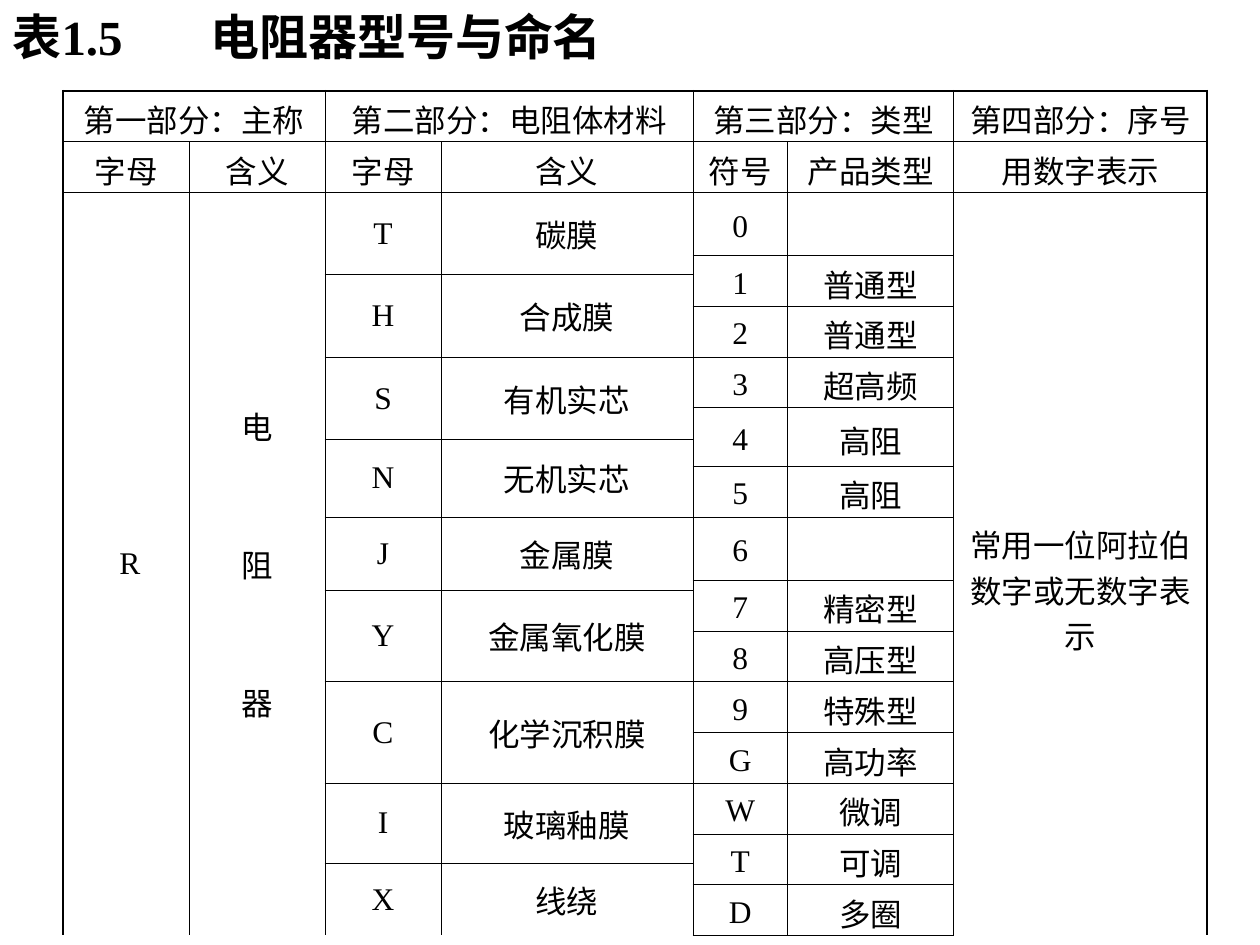
from dataclasses import dataclass

from lxml.etree import SubElement
from pptx import Presentation
from pptx.dml.color import RGBColor
from pptx.enum.text import MSO_ANCHOR, MSO_AUTO_SIZE, PP_ALIGN
from pptx.oxml.ns import qn
from pptx.util import Inches, Pt


@dataclass(frozen=True)
class Theme:
    """Colours, font and sizes of the slide."""
    ink: str = "000000"
    paper: str = "FFFFFF"
    font: str = "Times New Roman"
    title: float = 28
    body: float = 18
    outer: float = 1.08
    inner: float = 0.45


THEME = Theme()
NO_STYLE = "{2D5ABB26-0587-4C30-8999-92F81FD0307C}"
COLS = [1, 1.08, 0.92, 2, 0.75, 1.32, 2.01]
ROWS = [0.4, 0.4, 0.5, 0.15, 0.24, 0.4, 0.4, 0.25, 0.21, 0.4,
        0.5, 0.08, 0.32, 0.4, 0.4, 0.4, 0.4, 0.23, 0.16, 0.4]
PARTS = [(0, 2, "第一部分：主称"), (2, 2, "第二部分：电阻体材料"),
         (4, 2, "第三部分：类型"), (6, 1, "第四部分：序号")]
HEADS = ["字母", "含义", "字母", "含义", "符号", "产品类型", "用数字表示"]
MATERIALS = [("T", "碳膜"), ("H", "合成膜"), ("S", "有机实芯"),
             ("N", "无机实芯"), ("J", "金属膜"), ("Y", "金属氧化膜"),
             ("C", "化学沉积膜"), ("I", "玻璃釉膜"), ("X", "线绕")]
TYPES = [("0", ""), ("1", "普通型"), ("2", "普通型"), ("3", "超高频"),
         ("4", "高阻"), ("5", "高阻"), ("6", ""), ("7", "精密型"),
         ("8", "高压型"), ("9", "特殊型"), ("G", "高功率"),
         ("W", "微调"), ("T", "可调"), ("D", "多圈")]
SPLIT_ROWS = (3, 7, 11, 17)


def style_font(font, size, bold=False):
    """Apply the theme font to a font object."""
    font.name, font.size, font.bold = THEME.font, Pt(size), bold
    font.color.rgb = RGBColor.from_string(THEME.ink)


def add_border(cell, side, width):
    """Draw one side of a cell."""
    ln = SubElement(cell._tc.get_or_add_tcPr(), qn(f"a:ln{side}"),
                    w=str(Pt(width)))
    fill = SubElement(ln, qn("a:solidFill"))
    SubElement(fill, qn("a:srgbClr"), val=THEME.ink)


def frame_block(table, r, c, rows, cols):
    """Outline a block of cells, heavier on the edge of the table."""
    for i in range(r, r + rows):
        for j in range(c, c + cols):
            cell = table.cell(i, j)
            for side, at_block, at_table in (
                    ("L", j == c, j == 0),
                    ("R", j == c + cols - 1, j == len(COLS) - 1),
                    ("T", i == r, i == 0),
                    ("B", i == r + rows - 1, i == len(ROWS) - 1)):
                if at_block:
                    add_border(cell, side,
                               THEME.outer if at_table else THEME.inner)
            cell.fill.background()


def fill_block(table, r, c, text, rows=1, cols=1, top=0.05, bottom=0.05, gap=0):
    """Merge a block of cells and set its centred text."""
    cell = table.cell(r, c)
    if rows * cols > 1:
        cell.merge(table.cell(r + rows - 1, c + cols - 1))
    frame_block(table, r, c, rows, cols)
    cell.vertical_anchor = MSO_ANCHOR.MIDDLE
    cell.margin_top, cell.margin_bottom = Inches(top), Inches(bottom)
    tf = cell.text_frame
    tf.text = text
    for i, p in enumerate(tf.paragraphs):
        p.alignment = PP_ALIGN.CENTER
        if i:
            p.space_before = Pt(gap)
        style_font(p.font, THEME.body)
        for r_ in p.runs:
            style_font(r_.font, THEME.body)


def add_naming_table(slide, left, top, width, height):
    """Place the resistor naming table in the given box."""
    table = slide.shapes.add_table(len(ROWS), len(COLS), left, top,
                                   width, height).table
    table._tbl.tblPr.find(qn("a:tableStyleId")).text = NO_STYLE
    table.first_row = table.horz_banding = False
    for col, share in zip(table.columns, COLS):
        col.width = int(width * share / sum(COLS))
    for row, share in zip(table.rows, ROWS):
        row.height = int(height * share / sum(ROWS))

    tight = {"top": 0.04, "bottom": 0}
    body = len(ROWS) - 2
    for c, span, text in PARTS:
        fill_block(table, 0, c, text, cols=span, **tight)
    for c, text in enumerate(HEADS):
        fill_block(table, 1, c, text, **tight)
    fill_block(table, 2, 0, " R", rows=body)
    fill_block(table, 2, 1, "电\n阻\n器", rows=body, gap=53)
    fill_block(table, 2, 6, "常用一位阿拉伯数字或无数字表示", rows=body, top=0.46)
    for i, pair in enumerate(MATERIALS):
        for c, text in enumerate(pair, 2):
            fill_block(table, 2 + 2 * i, c, text, rows=2)
    r = 2
    for pair in TYPES:
        span = 2 if r in SPLIT_ROWS else 1
        for c, text in enumerate(pair, 4):
            fill_block(table, r, c, text, rows=span, **tight)
        r += span


def add_title(slide, left, top, width, height):
    """Place the table caption in the title placeholder."""
    sp = slide.shapes.title
    sp.left, sp.top, sp.width, sp.height = left, top, width, height
    sp.fill.solid()
    sp.fill.fore_color.rgb = RGBColor.from_string(THEME.paper)
    tf = sp.text_frame
    tf.text = "表1.5\t电阻器型号与命名"
    tf.auto_size, tf.word_wrap = MSO_AUTO_SIZE.NONE, True
    tf.vertical_anchor = MSO_ANCHOR.MIDDLE
    p = tf.paragraphs[0]
    p.alignment = PP_ALIGN.LEFT
    tabs = SubElement(p._p.get_or_add_pPr(), qn("a:tabLst"))
    SubElement(tabs, qn("a:tab"), pos=str(Inches(1.57)), algn="l")
    for r in p.runs:
        style_font(r.font, THEME.title, bold=True)


def main():
    """Build the slide and save it."""
    prs = Presentation()
    prs.slide_width, prs.slide_height = Inches(10), Inches(7.5)
    slide = prs.slides.add_slide(prs.slide_layouts[5])
    add_naming_table(slide, Inches(0.5), Inches(0.72), Inches(9.08), Inches(6.69))
    add_title(slide, 0, 0, Inches(5.95), Inches(0.57))
    prs.save("out.pptx")


if __name__ == "__main__":
    main()
